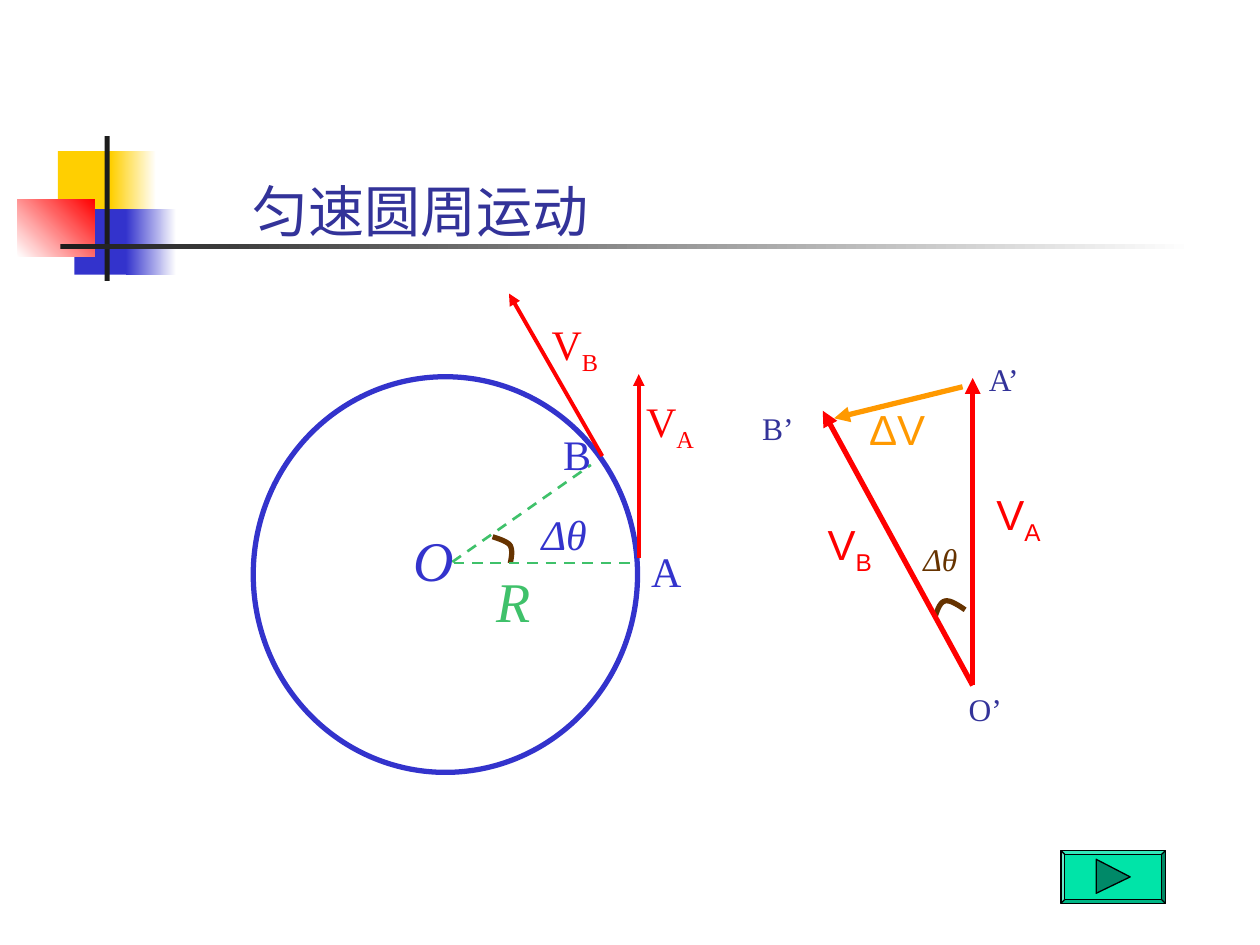
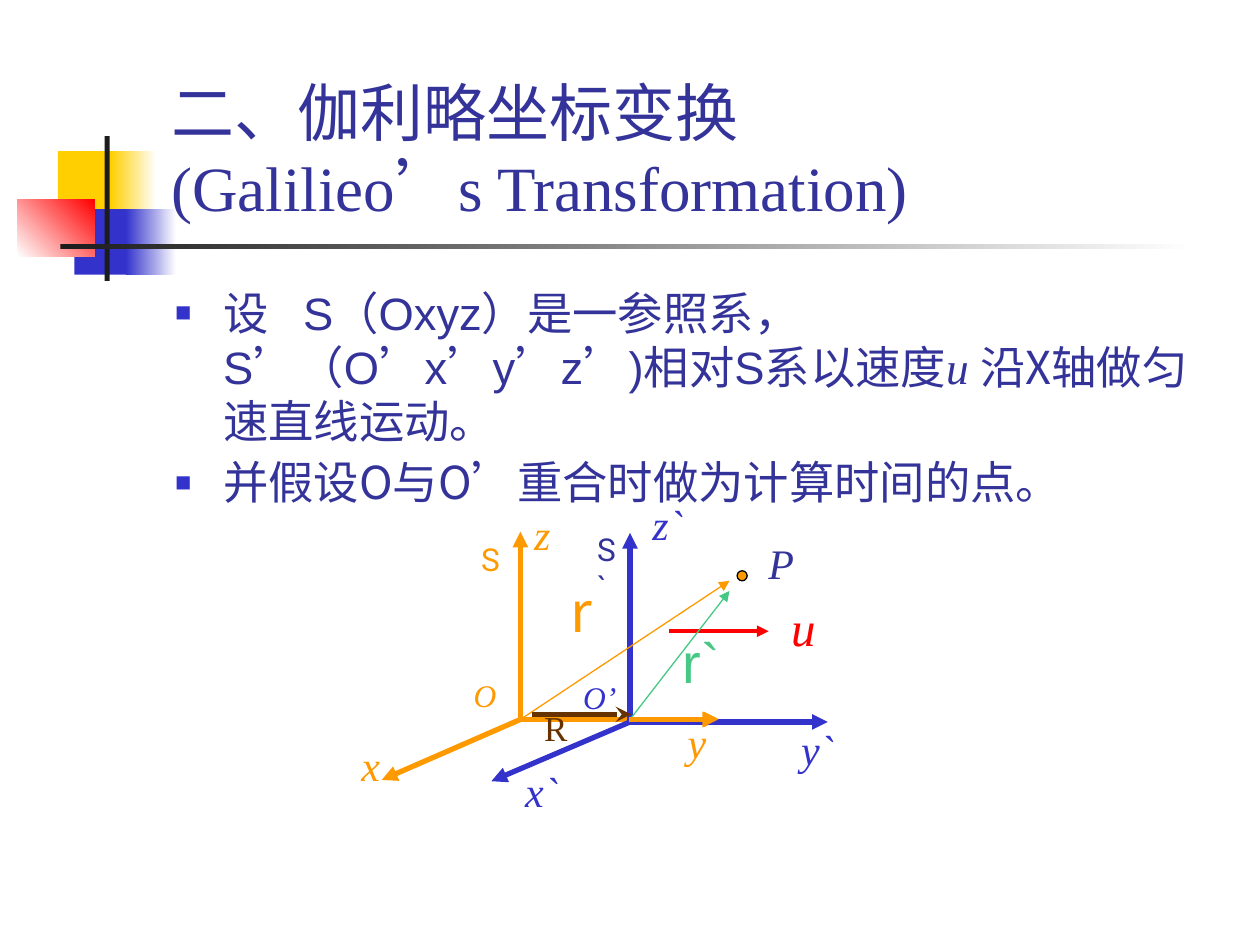
from itertools import groupby

from lxml import etree
from pptx import Presentation
from pptx import util as u
from pptx.dml import color as dml
from pptx.enum import dml as lines
from pptx.enum import shapes, text
from pptx.oxml import ns

PX = 9144
FINE = 100
COLORS = {
    "white": "FFFFFF", "black": "000000", "ink": "1C1C1C", "navy": "333399",
    "blue": "3333CC", "gold": "FFCF01", "red": "FF0000", "orange": "FF9900",
    "brown": "663300", "green": "3FC16A", "mint": "45C984",
    "button": "00E4A8", "button_icon": "008968",
}
ARIAL, TIMES, ROBOTO, CJK = "Arial", "Times New Roman", "Roboto", "Noto Sans CJK SC"

BANDS = [
    (46, 120, 48, 52, "gold", None, 0),
    (88, 120, 36, 52, "gold", "white", 0),
    (59, 166, 46, 52, "blue", None, 0),
    (100, 166, 40, 52, "blue", "white", 0),
    (14, 158, 61, 46, "white", "red", 45),
    (83, 108, 4, 115, "ink", None, 0),
    (48, 194, 900, 4, "ink", "white", 0),
]

STYLES = {
    "center": (32, TIMES, "blue", True),
    "radius": (32, TIMES, "green", True),
    "point": (24, TIMES, "blue", False),
    "velocity": (24, TIMES, "red", False),
    "angle": (24, TIMES, "blue", True),
    "vector": (24, ARIAL, "red", False),
    "change": (24, ARIAL, "orange", False),
    "vertex": (18, TIMES, "navy", False),
    "small_angle": (18, TIMES, "brown", True),
    "axis": (24, TIMES, "orange", True),
    "moving_axis": (24, TIMES, "blue", True),
    "origin": (18, TIMES, "orange", True),
    "moving_origin": (18, TIMES, "blue", True),
    "frame": (18, ROBOTO, "orange", False),
    "moving_frame": (18, ROBOTO, "navy", False),
    "position": (32, CJK, "orange", False),
    "moving_position": (32, ARIAL, "mint", False),
    "offset": (20, TIMES, "brown", False),
    "particle": (24, TIMES, "navy", True),
    "speed": (28, TIMES, "red", True),
}

MOTION = {
    "title": [("匀速圆周运动", {})],
    "lines": [
        ("orange", 3, (764, 307), (662, 332), "triangle"),
        ("red", 3, (772, 544), (772, 300), "triangle"),
        ("red", 3, (772, 544), (653, 326), "triangle"),
        ("green", 1.5, (360, 447), (505, 447), None),
        ("green", 1.5, (359, 446), (469, 369), None),
        ("red", 2.25, (478, 362), (404, 233), "triangle"),
        ("red", 2.25, (507, 443), (507, 297), "triangle"),
    ],
    "labels": [
        ("vector", "V_A", 781, 383, 55),
        ("vector", "V_B", 647, 407, 55),
        ("change", "ΔV", 680, 315, 64),
        ("vertex", "O’", 759, 543, 46),
        ("vertex", "A’", 775, 281, 46),
        ("vertex", "B’", 595, 320, 45),
        ("small_angle", "Δθ", 723, 424, 47),
        ("center", "O", 318, 412, 70),
        ("radius", "R", 384, 445, 47),
        ("point", "A", 507, 428, 44),
        ("point", "B", 437, 335, 42),
        ("velocity", "V_A", 503, 309, 58),
        ("velocity", "V_B", 428, 248, 57),
        ("angle", "Δθ", 420, 399, 56),
    ],
}
CIRCLE = (201, 299, 305, 314)
ANGLE_ARCS = [
    [(742, 490), (744, 484), (746, 478), (750, 477), (754, 476), (760, 480), (766, 484)],
    [(391, 426), (397, 428), (403, 430), (405, 433), (407, 437), (406, 442), (405, 447)],
]
BUTTON = (842, 675, 83, 42)
BUTTON_ICON = [(870, 682), (897, 696), (870, 709)]

GALILEO = {
    "title": [("二、伽利略坐标变换", {}), ("\n", {}),
              ("(Galilieo’s Transformation)", {"face": TIMES})],
    "body": [
        [("设", {}), (" ", {"spread": 14}),
         ("S（Oxyz）是一参照系，S’（O’x’y’z’)相对S系以速度", {}),
         ("u ", {"face": TIMES, "italic": True}),
         ("沿X轴做匀速直线运动。", {"face": CJK})],
        [("并假设O与O’重合时做为计算时间的点。", {"face": CJK})],
    ],
    "lines": [
        ("red", 2.25, (531, 501), (610, 501), "triangle"),
        ("orange", 3, (413, 571), (303, 619), "triangle"),
        ("orange", 3, (413, 571), (413, 422), "triangle"),
        ("orange", 3, (413, 571), (571, 571), "triangle"),
        ("blue", 3, (500, 573), (657, 573), "triangle"),
        ("blue", 3, (500, 573), (390, 620), "triangle"),
        ("blue", 3, (500, 573), (500, 423), "triangle"),
        ("orange", 0.75, (413, 571), (579, 461), "triangle"),
        ("mint", 0.75, (500, 571), (579, 469), "triangle"),
        ("brown", 3, (422, 567), (501, 567), "stealth"),
        ("orange", 3, (499, 571), (570, 571), "triangle"),
    ],
    "labels": [
        ("particle", "P", 600, 422, 40),
        ("speed", "u", 618, 469, 39),
        ("moving_position", "r`", 532, 493, 49),
        ("position", "r", 443, 453, 47),
        ("origin", "O", 366, 532, 38),
        ("moving_origin", "O’", 453, 533, 46),
        ("offset", "R", 422, 556, 38),
        ("frame", "S", 372, 424, 34),
        ("moving_frame", "S`", 464, 416, 41),
        ("axis", "x", 277, 582, 35),
        ("axis", "y", 536, 564, 35),
        ("axis", "z", 414, 399, 33),
        ("moving_axis", "x`", 407, 603, 46),
        ("moving_axis", "y`", 626, 569, 46),
        ("moving_axis", "z`", 508, 391, 44),
    ],
}
PARTICLE = (585, 453, 8, 8)


def px(*lengths):
    return [u.Emu(round(length * PX)) for length in lengths]


def rgb(name):
    return dml.RGBColor.from_string(COLORS[name])


def place(shape, *box):
    shape.left, shape.top, shape.width, shape.height = px(*box)


def paint(shape, fill=None, line=None, weight=0.75):
    shape.shadow.inherit = False
    if fill:
        shape.fill.solid()
        shape.fill.fore_color.rgb = rgb(fill)
    else:
        shape.fill.background()
    if line:
        shape.line.color.rgb = rgb(line)
        shape.line.width = u.Pt(weight)
    else:
        shape.line.fill.background()
    return shape


def add_preset(slide, kind, box, **look):
    return paint(slide.shapes.add_shape(kind, *px(*box)), **look)


def add_outline(slide, points, close, **look):
    corners = [(x * FINE, y * FINE) for x, y in points]
    builder = slide.shapes.build_freeform(*corners[0], scale=PX / FINE)
    builder.add_line_segments(corners[1:], close=close)
    return paint(builder.convert_to_shape(), **look)


def curve(points, steps=10):
    drawn = [points[0]]
    for start in range(0, len(points) - 1, 3):
        a, b, c, d = points[start:start + 4]
        for step in range(1, steps + 1):
            t = step / steps
            drawn.append(tuple(
                (1 - t) ** 3 * a[i] + 3 * (1 - t) ** 2 * t * b[i]
                + 3 * (1 - t) * t ** 2 * c[i] + t ** 3 * d[i] for i in (0, 1)))
    return drawn


def add_bullet(paragraph):
    props = paragraph._p.get_or_add_pPr()
    props.set("marL", str(38 * PX))
    props.set("indent", str(-38 * PX))
    tint = etree.SubElement(props, ns.qn("a:buClr"))
    etree.SubElement(tint, ns.qn("a:srgbClr"), val=COLORS["blue"])
    etree.SubElement(props, ns.qn("a:buSzPct"), val="60000")
    etree.SubElement(props, ns.qn("a:buFont"), typeface=ARIAL)
    etree.SubElement(props, ns.qn("a:buChar"), char="■")


def write(frame, paragraphs, size, color, face=ARIAL, italic=False, wrap=True,
          anchor=text.MSO_ANCHOR.TOP, later_spacing=1.0, gap=0, bullet=False):
    frame.word_wrap = wrap
    frame.auto_size = text.MSO_AUTO_SIZE.NONE
    frame.vertical_anchor = anchor
    for index, pieces in enumerate(paragraphs):
        paragraph = frame.add_paragraph() if index else frame.paragraphs[0]
        if bullet:
            add_bullet(paragraph)
        paragraph.alignment = text.PP_ALIGN.LEFT
        paragraph.space_before = u.Pt(gap if index else 0)
        paragraph.line_spacing = later_spacing if index else 1.0
        for words, look in pieces:
            if words == "\n":
                paragraph.add_line_break()
                continue
            run = paragraph.add_run()
            run.text = words
            run.font.size = u.Pt(size)
            run.font.italic = look.get("italic", italic)
            run.font.color.rgb = rgb(color)
            run.font.name = look.get("face", face)
            props = run._r.get_or_add_rPr()
            etree.SubElement(props, ns.qn("a:ea"), typeface=CJK)
            if look.get("subscript"):
                props.set("baseline", "-25000")
            if look.get("spread"):
                props.set("spc", str(look["spread"] * 100))


def wide_quotes(pieces):
    return [("".join(group), {**look, "face": CJK} if quote else look)
            for words, look in pieces
            for quote, group in groupby(words, lambda letter: letter == "’")]


def add_label(slide, style, words, left, top, width):
    size, face, color, italic = STYLES[style]
    box = slide.shapes.add_textbox(*px(left, top, width, round(size * 1.67 + 10)))
    base, _, below = words.partition("_")
    pieces = [(base, {})] + ([(below, {"subscript": True})] if below else [])
    write(box.text_frame, [pieces], size, color, face, italic,
          wrap=style == "moving_frame")


def add_line(slide, color, weight, start, end, tip):
    line = slide.shapes.add_connector(shapes.MSO_CONNECTOR.STRAIGHT, *px(*start, *end))
    line.line.color.rgb = rgb(color)
    line.line.width = u.Pt(weight)
    if tip:
        etree.SubElement(line.line._get_or_add_ln(), ns.qn("a:tailEnd"), type=tip)
    else:
        line.line.dash_style = lines.MSO_LINE.DASH
    etree.SubElement(line.element.spPr, ns.qn("a:effectLst"))


def add_diagram(slide, content):
    for line in content["lines"]:
        add_line(slide, *line)
    for label in content["labels"]:
        add_label(slide, *label)


def add_bands(master, slide):
    for order, (*box, start, end, angle) in enumerate(BANDS):
        band = add_preset(slide, shapes.MSO_SHAPE.RECTANGLE, box, fill=start)
        if end:
            band.fill.gradient()
            band.fill.gradient_angle = angle
            for stop, name in zip(band.fill.gradient_stops, (start, end)):
                stop.color.rgb = rgb(name)
        band.element.nvSpPr.cNvPr.set("id", str(100 + order))
        master.shapes.element.insert(2 + order, band.element)


def build_motion(slide):
    title = slide.shapes.title
    place(title, 190, 135, 287, 64)
    write(title.text_frame, [MOTION["title"]], 32, "navy", ROBOTO, wrap=False,
          anchor=text.MSO_ANCHOR.MIDDLE)
    add_preset(slide, shapes.MSO_SHAPE.OVAL, CIRCLE, line="blue", weight=3)
    for arc in ANGLE_ARCS:
        add_outline(slide, curve(arc), False, line="brown", weight=3)
    add_diagram(slide, MOTION)
    button = add_preset(slide, shapes.MSO_SHAPE.BEVEL, BUTTON, fill="button", line="black")
    button.adjustments[0] = 0.07
    add_outline(slide, BUTTON_ICON, True, fill="button_icon", line="black")


def build_galileo(slide):
    title, body = slide.placeholders
    place(title, 126, 99, 768, 84)
    write(title.text_frame, [wide_quotes(GALILEO["title"])], 36, "navy",
          anchor=text.MSO_ANCHOR.BOTTOM)
    place(body, 129, 221, 841, 174)
    write(body.text_frame, map(wide_quotes, GALILEO["body"]), 25.9, "navy",
          later_spacing=0.9, gap=7, bullet=True)
    add_diagram(slide, GALILEO)
    add_preset(slide, shapes.MSO_SHAPE.OVAL, PARTICLE, fill="orange", line="black")


def main():
    deck = Presentation()
    deck.slide_width, deck.slide_height = px(1000, 750)
    motion = deck.slides.add_slide(deck.slide_layouts[5])
    add_bands(deck.slide_master, motion)
    build_motion(motion)
    build_galileo(deck.slides.add_slide(deck.slide_layouts[1]))
    deck.save("out.pptx")


if __name__ == "__main__":
    main()
